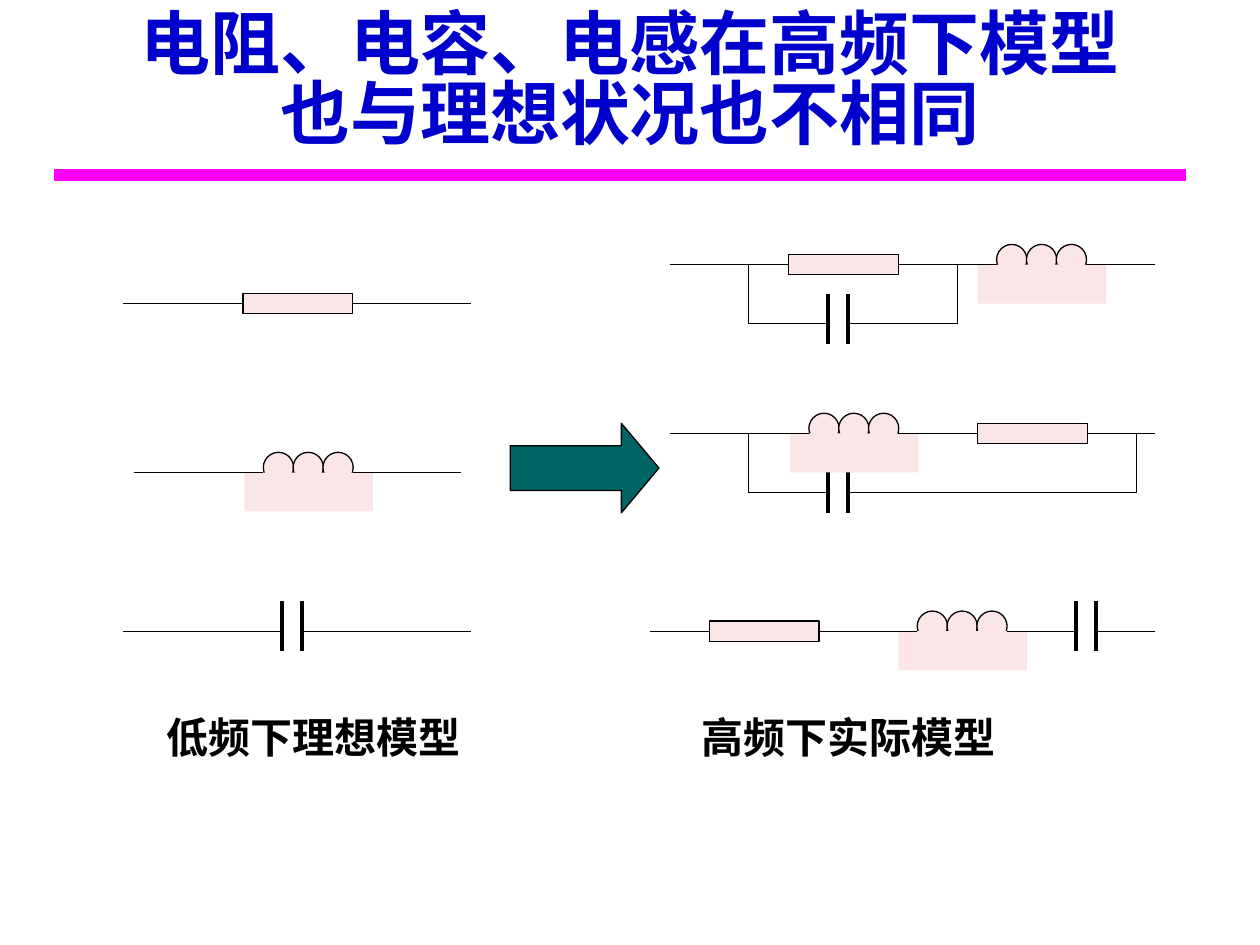
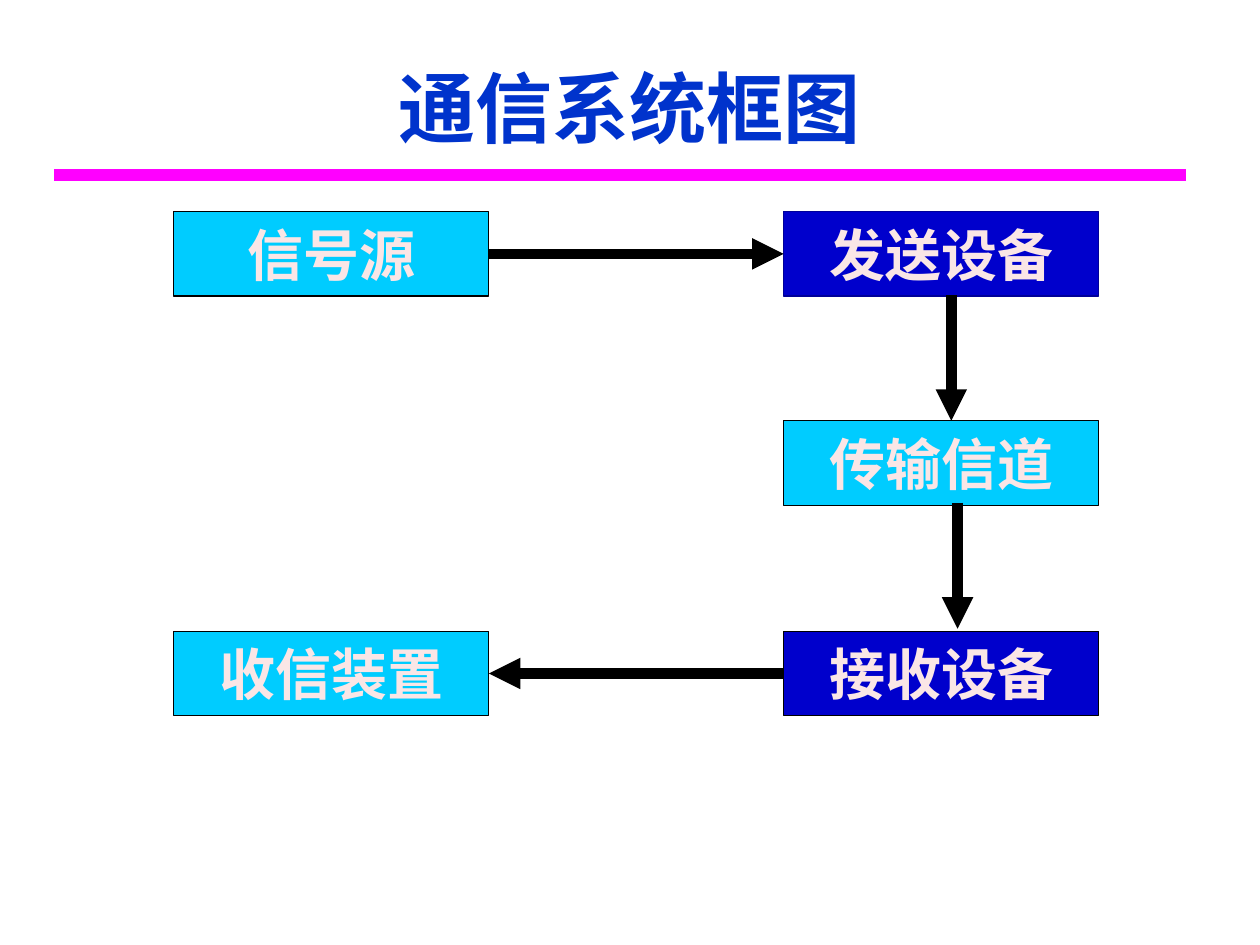
from lxml import etree
from pptx import Presentation
from pptx.dml.color import RGBColor
from pptx.enum.shapes import MSO_CONNECTOR, MSO_SHAPE
from pptx.enum.text import MSO_ANCHOR, PP_ALIGN
from pptx.oxml.ns import qn
from pptx.util import Inches, Pt

STRAIGHT = MSO_CONNECTOR.STRAIGHT
RECTANGLE = MSO_SHAPE.RECTANGLE
OVAL = MSO_SHAPE.OVAL
RIGHT_ARROW = MSO_SHAPE.RIGHT_ARROW
MIDDLE = MSO_ANCHOR.MIDDLE
TOP = MSO_ANCHOR.TOP
CENTER = PP_ALIGN.CENTER
LEFT = PP_ALIGN.LEFT

BLACK = RGBColor(0x00, 0x00, 0x00)
MAGENTA = RGBColor(0xFF, 0x00, 0xFF)
DEEP_BLUE = RGBColor(0x00, 0x00, 0xCC)
TITLE_BLUE = RGBColor(0x00, 0x33, 0xCC)
NAVY = RGBColor(0x00, 0x00, 0x99)
CYAN = RGBColor(0x00, 0xCC, 0xFF)
PINK = RGBColor(0xFA, 0xE6, 0xE6)
TEAL = RGBColor(0x00, 0x64, 0x62)

CHINESE_FONT = "Noto Sans CJK SC"
LEFT_SIDE, RIGHT_SIDE = 1, 3
RESISTOR_WIDTH = 0.87
COIL_WIDTH = 0.71
PLATE_GAP = 0.16
BRANCH_DEPTH = 0.47
BOX_WIDTH, BOX_HEIGHT = 2.5, 0.67


class Deck:
    thin = 0.75

    def __init__(self):
        self.presentation = Presentation()
        self.presentation.slide_width = Inches(10)
        self.presentation.slide_height = Inches(7.5)
        self.slide = None

    def new_slide(self):
        self.slide = self.presentation.slides.add_slide(self.presentation.slide_layouts[6])
        self.line(0.43, 1.39, 9.41, 1.39, MAGENTA, 7)

    def line(self, x1, y1, x2, y2, color=BLACK, width=thin, arrow=False):
        connector = self.slide.shapes.add_connector(
            STRAIGHT, Inches(x1), Inches(y1), Inches(x2), Inches(y2))
        connector.line.color.rgb = color
        connector.line.width = Pt(width)
        properties = connector._element.spPr
        if arrow:
            etree.SubElement(properties.get_or_add_ln(), qn("a:tailEnd"), type="triangle")
        etree.SubElement(properties, qn("a:effectLst"))
        return connector

    def shape(self, kind, left, top, width, height, fill, outline=BLACK):
        shape = self.slide.shapes.add_shape(
            kind, Inches(left), Inches(top), Inches(width), Inches(height))
        shape.shadow.inherit = False
        shape.fill.solid()
        shape.fill.fore_color.rgb = fill
        if outline is None:
            shape.line.fill.background()
        else:
            shape.line.color.rgb = outline
            shape.line.width = Pt(self.thin)
        return shape

    def set_text(self, shape, text, size, font, color, align, anchor, wrap=True):
        frame = shape.text_frame
        frame.text = text
        frame.word_wrap = wrap
        frame.vertical_anchor = anchor
        paragraph = frame.paragraphs[0]
        paragraph.alignment = align
        for run in paragraph.runs:
            run.font.size = Pt(size)
            run.font.bold = True
            run.font.name = font
            run.font.color.rgb = color
            etree.SubElement(run._r.get_or_add_rPr(), qn("a:ea"), typeface=CHINESE_FONT)
        return paragraph

    def text(self, text, left, top, width, height, size, font="Arial", color=BLACK,
             align=LEFT, anchor=TOP):
        text_box = self.slide.shapes.add_textbox(
            Inches(left), Inches(top), Inches(width), Inches(height))
        return self.set_text(text_box, text, size, font, color, align, anchor)

    def title(self, text, top, height, size, font, color):
        return self.text(text, 0.5, top, 9, height, size, font, color, CENTER, MIDDLE)

    def leads(self, left, right, y, start, end):
        before = after = None
        if start is not None:
            before = self.line(start, y, left, y)
        if end is not None:
            after = self.line(right, y, end, y)
        return before, after

    def resistor(self, left, y, start, end):
        body = self.shape(RECTANGLE, left, y - 0.08, RESISTOR_WIDTH, 0.16, PINK)
        before, after = self.leads(left, left + RESISTOR_WIDTH, y, start, end)
        before.end_connect(body, LEFT_SIDE)
        after.begin_connect(body, RIGHT_SIDE)

    def coil(self, left, y, start=None, end=None):
        for turn in range(3):
            self.shape(OVAL, left + turn * COIL_WIDTH / 3, y - 0.16, 0.24, 0.24, PINK)
        self.shape(RECTANGLE, left - 0.15, y, 1.02, 0.31, PINK, None)
        self.leads(left, left + COIL_WIDTH, y, start, end)

    def capacitor(self, left, y, start=None, end=None):
        right = left + PLATE_GAP
        for x in (left, right):
            self.line(x, y - 0.24, x, y + 0.16, width=2.25)
        self.leads(left, right, y, start, end)

    def parallel_capacitor(self, left, right, y):
        for x in (left, right):
            self.line(x, y, x, y + BRANCH_DEPTH)
        self.capacitor(left + 0.63, y + BRANCH_DEPTH, left, right)

    def block(self, text, left, top, fill, outline=BLACK):
        box = self.shape(RECTANGLE, left, top, BOX_WIDTH, BOX_HEIGHT, fill, outline)
        self.set_text(box, text, 32, "Times New Roman", PINK, CENTER, MIDDLE, False)
        return box

    def block_arrow(self, source, source_side, target, target_side):
        arrow = self.line(0, 0, 1, 1, width=6, arrow=True)
        arrow.begin_connect(source, source_side)
        arrow.end_connect(target, target_side)


def component_models(deck):
    deck.new_slide()
    title = deck.title("电阻、电容、电感在高频下模型\v也与理想状况也不相同",
                       0.04, 1.25, 40, "Arial", DEEP_BLUE)
    title.line_spacing = 0.83

    deck.resistor(1.93, 2.41, 0.98, 3.74)
    deck.coil(2.09, 3.75, 1.06, 3.66)
    deck.capacitor(2.24, 5.01, 0.98, 3.74)

    arrow = deck.shape(RIGHT_ARROW, 4.05, 3.36, 1.18, 0.71, TEAL)
    arrow.adjustments[1] = 0.42

    deck.parallel_capacitor(5.94, 7.6, 2.1)
    deck.coil(7.91, 2.1, end=9.17)
    deck.resistor(6.26, 2.1, 5.32, 7.91)

    deck.parallel_capacitor(5.94, 9.02, 3.44)
    deck.coil(6.42, 3.44, start=5.32)
    deck.resistor(7.76, 3.44, 7.13, 9.17)

    deck.coil(7.28, 5.01, end=8.54)
    deck.resistor(5.63, 5.01, 5.16, 7.28)
    deck.capacitor(8.54, 5.01, end=9.17)

    for caption, left in (("低频下理想模型", 1.22), ("高频下实际模型", 5.47)):
        deck.text(caption, left, 5.6, 2.68, 0.5, 24)


def communication_system(deck):
    deck.new_slide()
    deck.title("通信系统框图", 0.3, 1.09, 44, CHINESE_FONT, TITLE_BLUE)

    left_column, right_column = 1.38, 6.22
    top_row, middle_row, bottom_row = 1.68, 3.34, 5.01
    signal_source = deck.block("信号源", left_column, top_row, CYAN)
    receiver = deck.block("接收设备", right_column, bottom_row, DEEP_BLUE)
    transmitter = deck.block("发送设备", right_column, top_row, DEEP_BLUE, NAVY)
    deck.block("传输信道", right_column, middle_row, CYAN)
    destination = deck.block("收信装置", left_column, bottom_row, CYAN)

    deck.block_arrow(signal_source, RIGHT_SIDE, transmitter, LEFT_SIDE)
    deck.block_arrow(receiver, LEFT_SIDE, destination, RIGHT_SIDE)
    for x, top in ((7.55, 2.34), (7.6, 3.99)):
        deck.line(x, top, x, top + 1, width=6, arrow=True)


def main():
    deck = Deck()
    component_models(deck)
    communication_system(deck)
    deck.presentation.save("out.pptx")


if __name__ == "__main__":
    main()
